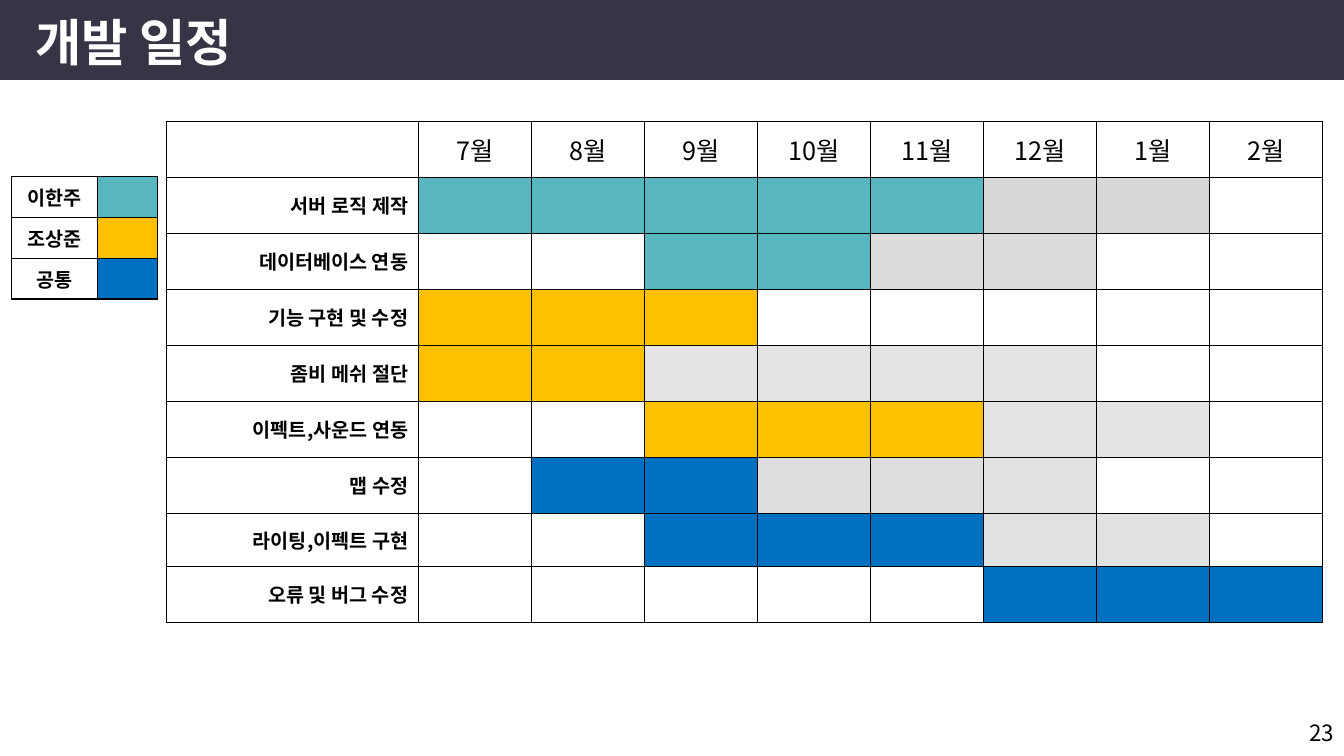
from dataclasses import dataclass

import pptx
import pptx.dml.color
import pptx.enum.shapes
import pptx.enum.text
import pptx.oxml
import pptx.oxml.ns
import pptx.util

Pt = pptx.util.Pt
ALIGN = pptx.enum.text.PP_ALIGN
ANCHOR = pptx.enum.text.MSO_ANCHOR

KOREAN = "Noto Sans CJK KR"
BLACK, WHITE, NAVY = "000000", "FFFFFF", "373545"
TEAL, YELLOW, BLUE = "58B6C0", "FFC000", "0070C0"


@dataclass(frozen=True)
class TextStyle:
    size: float
    align: ALIGN = ALIGN.CENTER
    bold: bool = False
    color: str = BLACK
    latin: str = KOREAN


@dataclass(frozen=True)
class Span:
    """Months of one colour, counted from 0 for the first month column."""
    first: int
    last: int
    color: str


@dataclass(frozen=True)
class Task:
    name: str
    spans: tuple[Span, ...]
    height: float = 40


@dataclass(frozen=True)
class Owner:
    name: str
    color: str


TITLE = TextStyle(36, ALIGN.LEFT, True, WHITE, "Arial")
MONTH = TextStyle(18)
TASK = TextStyle(14, ALIGN.RIGHT, True)
OWNER = TextStyle(14, bold=True)
PAGE = TextStyle(16, ALIGN.RIGHT)

MONTHS = ["7월", "8월", "9월", "10월", "11월", "12월", "1월", "2월"]
TASKS = [
    Task("서버 로직 제작", (Span(0, 4, TEAL), Span(5, 6, "D7D7D8"))),
    Task("데이터베이스 연동", (Span(2, 3, TEAL), Span(4, 5, "DCDCDD"))),
    Task("기능 구현 및 수정", (Span(0, 2, YELLOW),)),
    Task("좀비 메쉬 절단", (Span(0, 1, YELLOW), Span(2, 5, "E3E4E3"))),
    Task("이펙트,사운드 연동", (Span(2, 4, YELLOW), Span(5, 6, "E3E4E3"))),
    Task("맵 수정", (Span(1, 2, BLUE), Span(3, 4, "DDDEDD"), Span(5, 5, "E0E1E1"))),
    Task("라이팅,이펙트 구현", (Span(2, 4, BLUE), Span(5, 6, "E0E1E1")), 38),
    Task("오류 및 버그 수정", (Span(5, 7, BLUE),)),
]
OWNERS = [Owner("이한주", TEAL), Owner("조상준", YELLOW), Owner("공통", BLUE)]


def rgb(color: str) -> pptx.dml.color.RGBColor:
    return pptx.dml.color.RGBColor.from_string(color)


def write(frame, text: str, style: TextStyle) -> None:
    frame.text = text
    paragraph = frame.paragraphs[0]
    paragraph.alignment = style.align
    for run in paragraph.runs:
        run.font.size = Pt(style.size)
        run.font.bold = style.bold
        run.font.color.rgb = rgb(style.color)
        run.font.name = style.latin
        east_asian = pptx.oxml.parse_xml(
            f'<a:ea {pptx.oxml.ns.nsdecls("a")} typeface="{KOREAN}"/>')
        run.font._element.find(pptx.oxml.ns.qn("a:latin")).addnext(east_asian)


def add_text(slide, left: float, top: float, width: float, height: float,
             text: str, style: TextStyle, wrap: bool) -> None:
    frame = slide.shapes.add_textbox(Pt(left), Pt(top), Pt(width), Pt(height)).text_frame
    frame.word_wrap = wrap
    frame.vertical_anchor = ANCHOR.MIDDLE
    write(frame, text, style)


def add_grid(slide, left: float, top: float, widths: list[float], heights: list[float]):
    """Add a table of unfilled cells with black 1 pt borders."""
    table = slide.shapes.add_table(
        len(heights), len(widths), Pt(left), Pt(top), Pt(sum(widths)), Pt(sum(heights))).table
    table.first_row = table.horz_banding = False
    for column, width in zip(table.columns, widths):
        column.width = Pt(width)
    for row, height in zip(table.rows, heights):
        row.height = Pt(height)
    for cell in table.iter_cells():
        cell.vertical_anchor = ANCHOR.MIDDLE
        cell.margin_top = cell.margin_bottom = 0
        properties = cell._tc.get_or_add_tcPr()
        for side in ("lnL", "lnR", "lnT", "lnB"):
            properties.append(pptx.oxml.parse_xml(
                f'<a:{side} {pptx.oxml.ns.nsdecls("a")} w="{Pt(1)}"><a:solidFill>'
                f'<a:srgbClr val="{BLACK}"/></a:solidFill></a:{side}>'))
        cell.fill.background()
    return table


def paint(cell, color: str) -> None:
    cell.fill.solid()
    cell.fill.fore_color.rgb = rgb(color)


def add_header(slide, width: float) -> None:
    band = slide.shapes.add_shape(
        pptx.enum.shapes.MSO_SHAPE.RECTANGLE, 0, 0, Pt(width), Pt(57))
    band.shadow.inherit = False
    band.fill.solid()
    band.fill.fore_color.rgb = rgb(NAVY)
    band.line.fill.background()
    add_text(slide, 18, 4.3, 170, 51, "개발 일정", TITLE, wrap=False)


def add_schedule(slide) -> None:
    schedule = add_grid(slide, 118.8, 86.6, [180] + [80.75] * len(MONTHS),
                        [40] + [task.height for task in TASKS])
    for column, month in enumerate(MONTHS, start=1):
        write(schedule.cell(0, column).text_frame, month, MONTH)
    for row, task in enumerate(TASKS, start=1):
        write(schedule.cell(row, 0).text_frame, task.name, TASK)
        for span in task.spans:
            for month in range(span.first, span.last + 1):
                paint(schedule.cell(row, month + 1), span.color)


def add_legend(slide) -> None:
    legend = add_grid(slide, 8, 126, [61.8, 42.8], [29.2] * len(OWNERS))
    for row, owner in enumerate(OWNERS):
        write(legend.cell(row, 0).text_frame, owner.name, OWNER)
        paint(legend.cell(row, 1), owner.color)


def main() -> None:
    deck = pptx.Presentation()
    deck.slide_width, deck.slide_height = Pt(960), Pt(540)
    slide = deck.slides.add_slide(deck.slide_layouts[6])
    add_header(slide, 960)
    add_schedule(slide)
    add_text(slide, 744, 509, 216, 28.8, "23", PAGE, wrap=True)
    add_legend(slide)
    deck.save("out.pptx")


if __name__ == "__main__":
    main()
